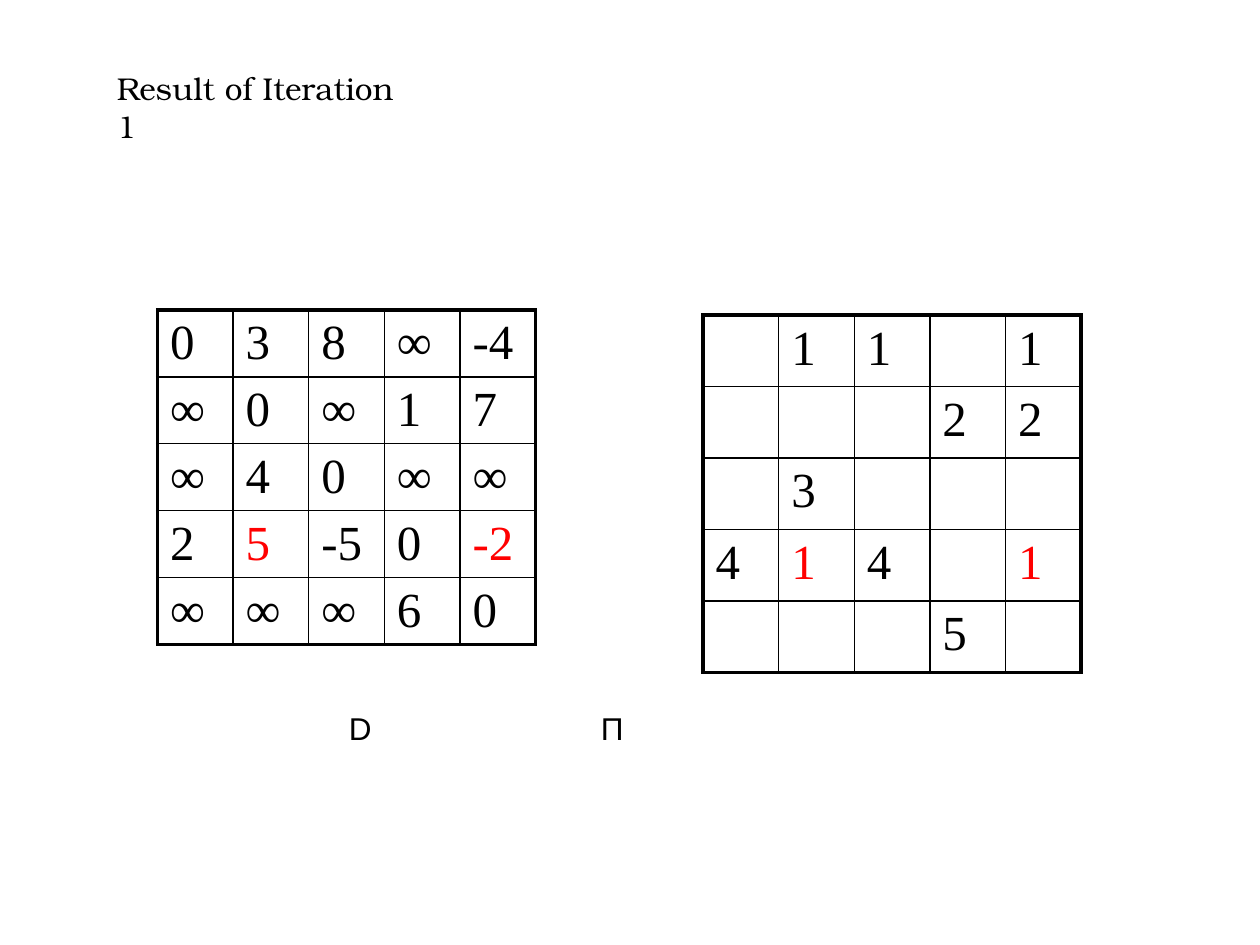
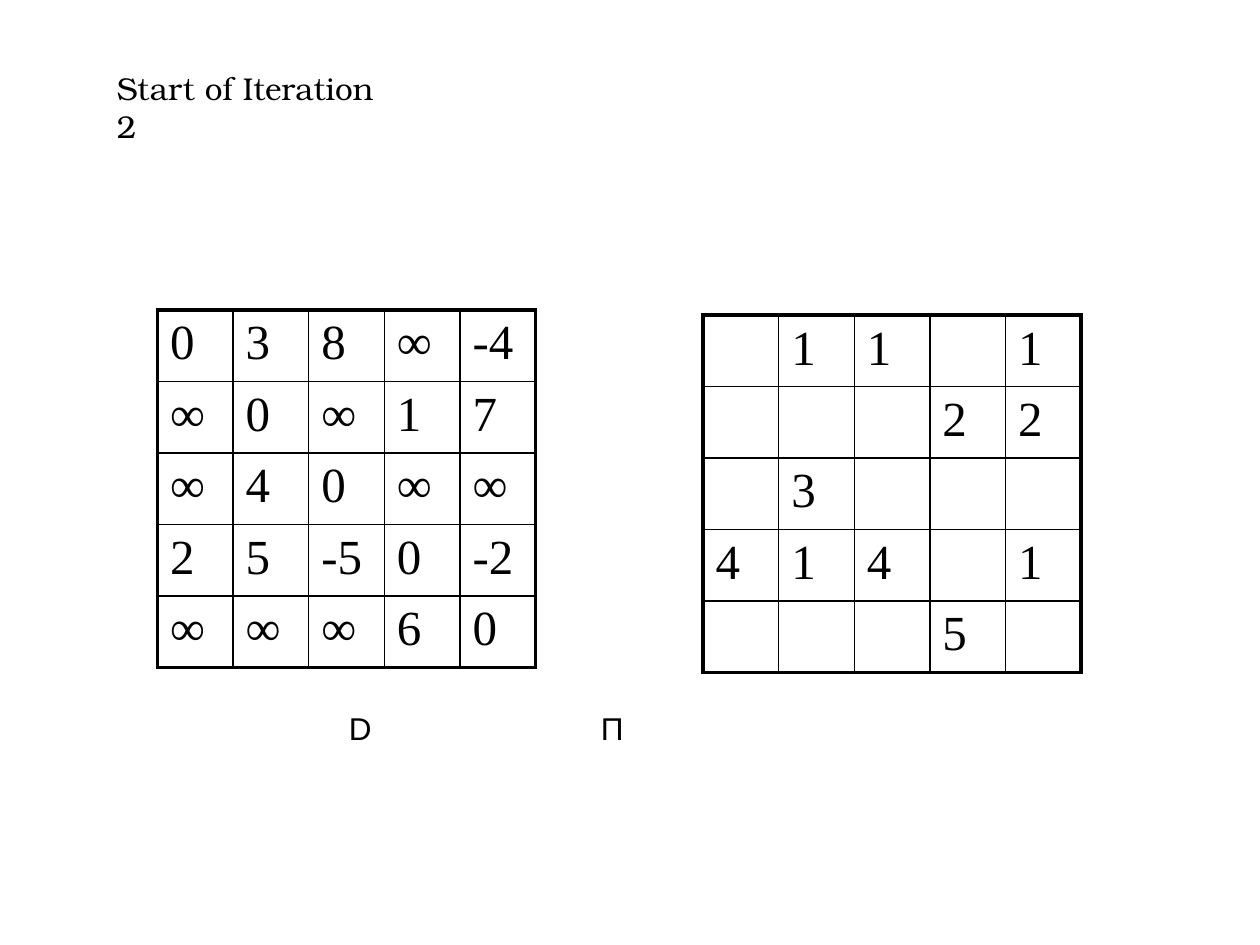
from lxml import etree
from pptx import Presentation
from pptx.dml.color import RGBColor
from pptx.enum.text import MSO_AUTO_SIZE
from pptx.oxml.ns import qn
from pptx.util import Inches, Pt

GROW = MSO_AUTO_SIZE.SHAPE_TO_FIT_TEXT
COLORS = {"ink": "000000", "changed": "FF0000"}
SIZE = 5
COLUMN_WIDTH = 0.6
THIN, THICK = 1, 2.25

DISTANCES = [
    ["0", "3", "8", "∞", "-4"],
    ["∞", "0", "∞", "1", "7"],
    ["∞", "4", "0", "∞", "∞"],
    ["2", "5", "-5", "0", "-2"],
    ["∞", "∞", "∞", "6", "0"],
]
PREDECESSORS = [
    ["", "1", "1", "", "1"],
    ["", "", "", "2", "2"],
    ["", "3", "", "", ""],
    ["4", "1", "4", "", "1"],
    ["", "", "", "5", ""],
]
SLIDES = [
    ("Result of Iteration 1", 2.42, {(3, 1), (3, 4)}),
    ("Start of Iteration 2", 2.25, set()),
]


class MatrixDeck:
    title_font = "TeX Gyre Bonum"
    label_font = "Arial"
    matrix_font = "Times New Roman"

    def __init__(self):
        self.presentation = Presentation()
        self.presentation.slide_width = Inches(10)
        self.presentation.slide_height = Inches(7.5)
        self.slide = None

    def add_slide(self):
        self.slide = self.presentation.slides.add_slide(self.presentation.slide_layouts[6])

    def format_runs(self, paragraph, font, size, color="ink"):
        for run in paragraph.runs:
            run.font.name = font
            run.font.size = Pt(size)
            run.font.color.rgb = RGBColor.from_string(COLORS[color])

    def add_text(self, text, left, top, width, font, wrap):
        box = self.slide.shapes.add_textbox(Inches(left), Inches(top), Inches(width), Inches(0.4))
        text_frame = box.text_frame
        text_frame.word_wrap = wrap
        text_frame.auto_size = GROW
        text_frame.text = text
        self.format_runs(text_frame.paragraphs[0], font, 18)

    def add_border(self, cell, side, width):
        properties = cell._tc.get_or_add_tcPr()
        line = etree.SubElement(properties, qn(f"a:ln{side}"), w=str(Pt(width)))
        fill = etree.SubElement(line, qn("a:solidFill"))
        etree.SubElement(fill, qn("a:srgbClr"), val=COLORS["ink"])

    def add_space_before(self, paragraph, percent):
        properties = paragraph._p.get_or_add_pPr()
        spacing = etree.SubElement(properties, qn("a:spcBef"))
        etree.SubElement(spacing, qn("a:spcPct"), val=str(percent * 1000))

    def add_matrix(self, values, left, top, height, changed):
        frame = self.slide.shapes.add_table(
            SIZE, SIZE, Inches(left), Inches(top), Inches(SIZE * COLUMN_WIDTH), Inches(height)
        )
        table = frame.table
        table.first_row = False
        table.horz_banding = False
        for row in table.rows:
            row.height = Inches(height / SIZE)
        for column in table.columns:
            column.width = Inches(COLUMN_WIDTH)
        last = SIZE - 1
        for row_index, row_values in enumerate(values):
            for column_index, value in enumerate(row_values):
                cell = table.cell(row_index, column_index)
                outer_sides = {
                    "L": column_index == 0,
                    "R": column_index == last,
                    "T": row_index == 0,
                    "B": row_index == last,
                }
                for side, is_outer in outer_sides.items():
                    self.add_border(cell, side, THICK if is_outer else THIN)
                cell.fill.background()
                if value:
                    cell.text_frame.text = value
                    paragraph = cell.text_frame.paragraphs[0]
                    self.add_space_before(paragraph, 20)
                    color = "changed" if (row_index, column_index) in changed else "ink"
                    self.format_runs(paragraph, self.matrix_font, 28, color)

    def save(self):
        self.presentation.save("out.pptx")


def main():
    deck = MatrixDeck()
    for title, title_width, changed in SLIDES:
        deck.add_slide()
        deck.add_matrix(DISTANCES, 1.25, 2.46, 2.65, changed)
        deck.add_text("\tD\t\t\t\tΠ", 2.17, 5.58, 5.65, deck.label_font, False)
        deck.add_text(title, 0.83, 0.5, title_width, deck.title_font, True)
        deck.add_matrix(PREDECESSORS, 5.58, 2.5, 2.83, changed)
    deck.save()


if __name__ == "__main__":
    main()
